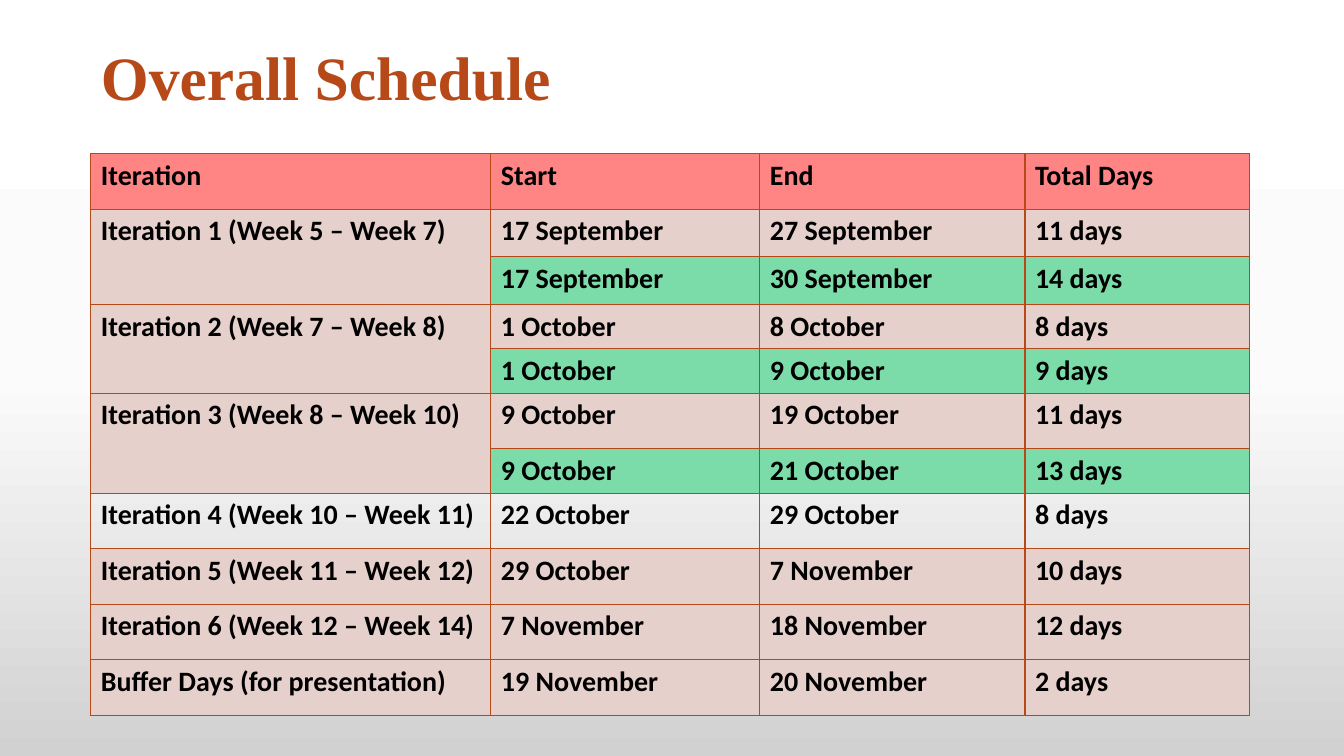
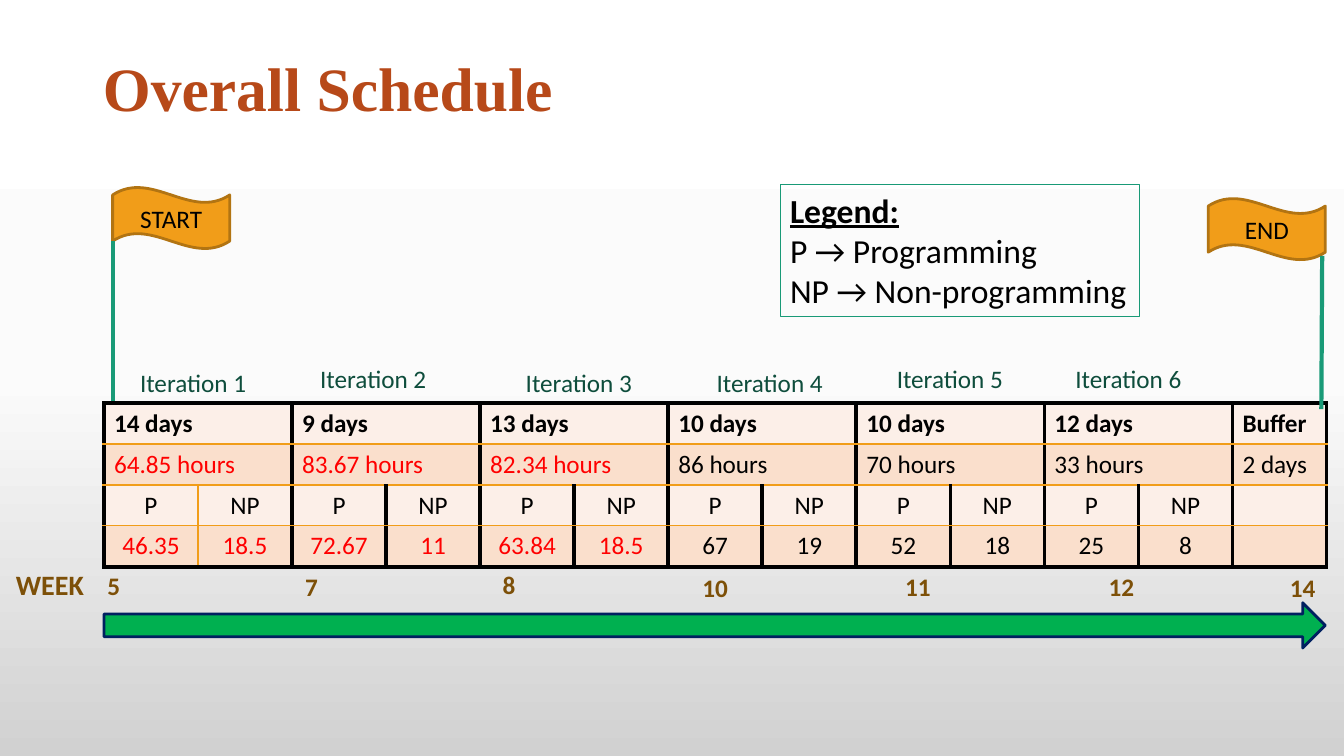
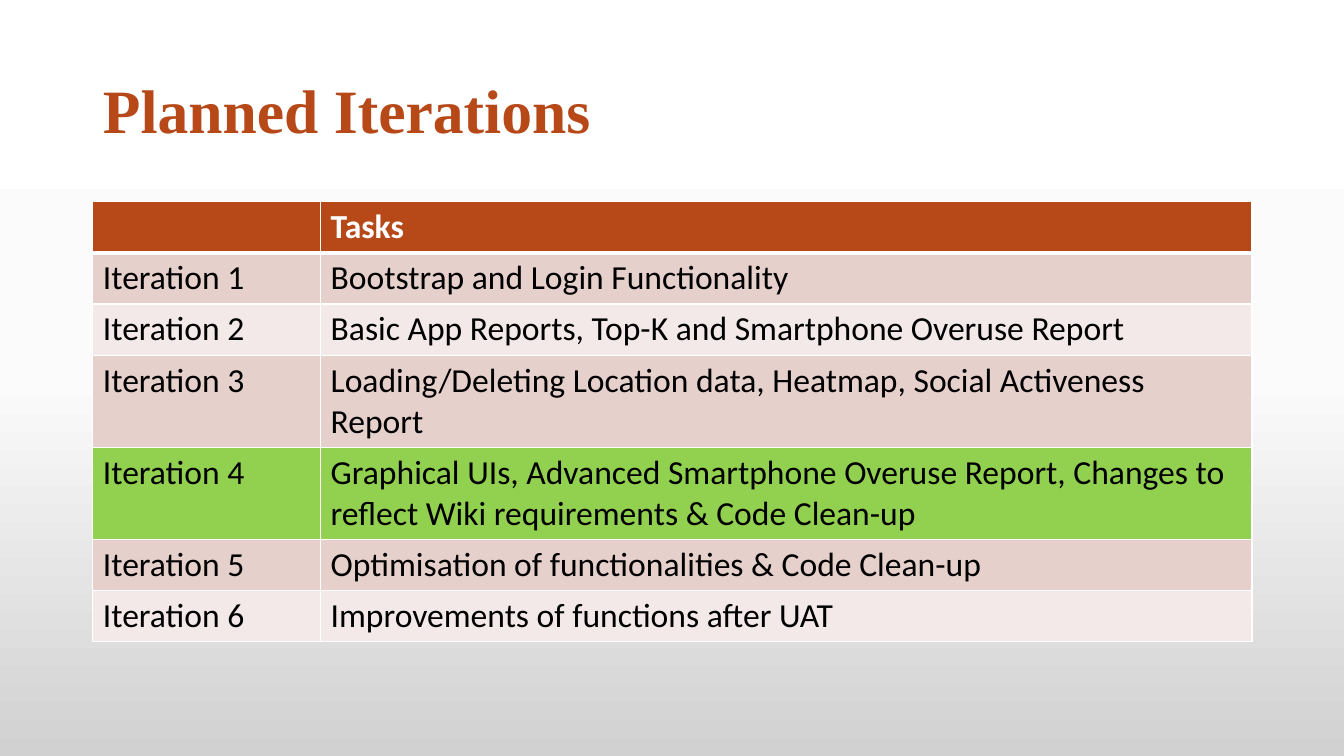
"""Builds a three-slide project schedule deck."""
from copy import deepcopy

from lxml import etree
from pptx import Presentation
from pptx.dml.color import RGBColor
from pptx.enum.shapes import MSO_CONNECTOR, MSO_SHAPE
from pptx.enum.text import MSO_ANCHOR, MSO_AUTO_SIZE, PP_ALIGN
from pptx.oxml.ns import qn
from pptx.util import Cm, Pt

STRAIGHT = MSO_CONNECTOR.STRAIGHT
WAVE, RIGHT_ARROW = MSO_SHAPE.WAVE, MSO_SHAPE.RIGHT_ARROW
MIDDLE = MSO_ANCHOR.MIDDLE
GROW = MSO_AUTO_SIZE.SHAPE_TO_FIT_TEXT
LEFT, CENTER = PP_ALIGN.LEFT, PP_ALIGN.CENTER

BLACK = RGBColor(0x00, 0x00, 0x00)
WHITE = RGBColor(0xFF, 0xFF, 0xFF)
NEAR_WHITE = RGBColor(0xFB, 0xFB, 0xFB)
SILVER = RGBColor(0xD1, 0xD1, 0xD1)
RUST = RGBColor(0xB7, 0x49, 0x19)
CORAL = RGBColor(0xFF, 0x85, 0x85)
ROSE = RGBColor(0xE6, 0xD0, 0xCC)
PALE_ROSE = RGBColor(0xF3, 0xE9, 0xE8)
MINT = RGBColor(0x7B, 0xDB, 0xA9)
LIME = RGBColor(0x92, 0xD0, 0x50)
CREAM = RGBColor(0xFC, 0xEF, 0xE8)
PEACH = RGBColor(0xFA, 0xDF, 0xCC)
ORANGE = RGBColor(0xF1, 0x9D, 0x19)
OCHRE = RGBColor(0xB2, 0x74, 0x12)
BROWN = RGBColor(0x7D, 0x50, 0x08)
RED = RGBColor(0xFF, 0x00, 0x00)
GREEN = RGBColor(0x00, 0xB0, 0x50)
NAVY = RGBColor(0x00, 0x20, 0x60)
TEAL = RGBColor(0x19, 0x9A, 0x77)
DARK_TEAL = RGBColor(0x0E, 0x4D, 0x3C)

THICK, THIN = (BLACK, 3), (ORANGE, 1)


class Deck:
    """Holds the shared style and the current slide."""

    body_font = "Calibri"
    title_font = "Times New Roman"

    def __init__(self):
        """Sets the slide size and the shared background."""
        self.prs = Presentation()
        self.prs.slide_width, self.prs.slide_height = Cm(33.87), Cm(19.05)
        master = self.prs.slide_master
        fill = master.background.fill
        fill.gradient()
        fill.gradient_angle = 270
        stops = master.element.find(".//" + qn("a:gsLst"))
        stops.insert(1, deepcopy(stops[0]))
        shades = ((0, WHITE), (0.5, NEAR_WHITE), (1, SILVER))
        for stop, (position, color) in zip(fill.gradient_stops, shades):
            stop.position = position
            stop.color.rgb = color

    def add_slide(self, title, left, top):
        """Starts a slide with its title."""
        self.slide = self.prs.slides.add_slide(self.prs.slide_layouts[5])
        holder = self.slide.shapes.title
        holder.left, holder.top = Cm(left), Cm(top)
        holder.width, holder.height = Cm(29.2), Cm(3.68)
        frame = holder.text_frame
        frame.vertical_anchor = MIDDLE
        paragraph = frame.paragraphs[0]
        paragraph.line_spacing = 0.9
        run = self.styled_run(paragraph, title, 44, RUST, True, LEFT)
        run.font.name = self.title_font
        run.font._element.insert(0, self.outline("a:ln", WHITE, 0.75))

    def outline(self, tag, color, width):
        """Returns a solid line element."""
        line = etree.Element(qn(tag), w=str(Pt(width)))
        solid = etree.SubElement(line, qn("a:solidFill"))
        etree.SubElement(solid, qn("a:srgbClr"), val=str(color))
        return line

    def styled_run(self, paragraph, text, size, color=BLACK, bold=False, align=LEFT):
        """Adds one formatted run."""
        paragraph.alignment = align
        run = paragraph.add_run()
        run.text = text
        run.font.name, run.font.size = self.body_font, Pt(size)
        run.font.bold = bold
        run.font.color.rgb = color
        return run

    def text_box(self, left, top, width, height):
        """Adds a wrapping text box."""
        box = self.slide.shapes.add_textbox(Cm(left), Cm(top), Cm(width), Cm(height))
        box.text_frame.word_wrap = True
        box.text_frame.auto_size = GROW
        return box

    def label(self, left, top, width, height, text, size, color, bold=False):
        """Adds a one-line text box."""
        box = self.text_box(left, top, width, height)
        self.styled_run(box.text_frame.paragraphs[0], text, size, color, bold)

    def shape(self, kind, left, top, width, height, fill, edge):
        """Adds a filled preset shape."""
        shape = self.slide.shapes.add_shape(
            kind, Cm(left), Cm(top), Cm(width), Cm(height))
        shape.shadow.inherit = False
        shape.fill.solid()
        shape.fill.fore_color.rgb = fill
        shape.line.color.rgb, shape.line.width = edge, Pt(2)
        return shape

    def flag(self, left, top, text, pole):
        """Adds a waving flag and its pole."""
        flag = self.shape(WAVE, left, top, 2.95, 1.55, ORANGE, OCHRE)
        flag.text_frame.vertical_anchor = MIDDLE
        self.styled_run(flag.text_frame.paragraphs[0], text, 18, align=CENTER)
        line = self.slide.shapes.add_connector(STRAIGHT, *map(Cm, pole))
        line.line.color.rgb, line.line.width = TEAL, Pt(3)
        etree.SubElement(line._element.spPr, qn("a:effectLst"))

    def table(self, left, top, widths, heights):
        """Adds an unstyled table."""
        table = self.slide.shapes.add_table(
            len(heights), len(widths), Cm(left), Cm(top),
            Cm(sum(widths)), Cm(sum(heights))).table
        table.first_row = table.horz_banding = False
        for column, width in zip(table.columns, widths):
            column.width = Cm(width)
        for row, height in zip(table.rows, heights):
            row.height = Cm(height)
        return table

    def cell(self, cell, fill, borders, text="", *look):
        """Formats a cell; borders run left, right, top, bottom."""
        properties = cell._tc.get_or_add_tcPr()
        for side, border in zip("LRTB", borders):
            properties.append(self.outline("a:ln" + side, *border))
        if fill is None:
            cell.fill.background()
        else:
            cell.fill.solid()
            cell.fill.fore_color.rgb = fill
        if text:
            self.styled_run(cell.text_frame.paragraphs[0], text, *look)


def dates_slide(deck):
    """Lists planned and actual dates per iteration."""
    schedule = (
        (CORAL, 1.4, "Iteration", "Start", "End", "Total Days"),
        (ROSE, 1.2, "Iteration 1 (Week 5 – Week 7)", "17 September", "27 September", "11 days"),
        (MINT, 1.2, "", "17 September", "30 September", "14 days"),
        (ROSE, 1.12, "Iteration 2 (Week 7 – Week 8)", "1 October", "8 October", "8 days"),
        (MINT, 1.12, "", "1 October", "9 October", "9 days"),
        (ROSE, 1.4, "Iteration 3 (Week 8 – Week 10)", "9 October", "19 October", "11 days"),
        (MINT, 1.12, "", "9 October", "21 October", "13 days"),
        (None, 1.4, "Iteration 4 (Week 10 – Week 11)", "22 October", "29 October", "8 days"),
        (ROSE, 1.4, "Iteration 5 (Week 11 – Week 12)", "29 October", "7 November", "10 days"),
        (ROSE, 1.4, "Iteration 6 (Week 12 – Week 14)", "7 November", "18 November", "12 days"),
        (ROSE, 1.4, "Buffer Days (for presentation)", "19 November", "20 November", "2 days"),
    )
    deck.add_slide("Overall Schedule", 2.29, 0.2)
    table = deck.table(2.29, 3.87, (10.08, 6.78, 6.68, 5.66),
                       [height for _, height, *_ in schedule])
    for r, (fill, _, *texts) in enumerate(schedule):
        for c, text in enumerate(texts):
            shade = fill if text else ROSE
            deck.cell(table.cell(r, c), shade, [(RUST, 1)] * 4, text, 20, BLACK, True)
        if not texts[0]:
            table.cell(r - 1, 0).merge(table.cell(r, 0))


def timeline_slide(deck):
    """Shows hours per iteration along a week arrow."""
    iterations = (
        ("14 days", "64.85 hours", "46.35", "18.5", RED),
        ("9 days", "83.67 hours", "72.67", "11", RED),
        ("13 days", "82.34 hours", "63.84", "18.5", RED),
        ("10 days", "86 hours", "67", "19", BLACK),
        ("10 days", "70 hours", "52", "18", BLACK),
        ("12 days", "33 hours", "25", "8", BLACK),
    )
    last_row, buffer_column = 3, 2 * len(iterations)
    row_fills = (CREAM, PEACH, CREAM, PEACH)
    deck.add_slide("Overall Schedule", 2.34, 0.46)
    table = deck.table(2.62, 10.16, [2.37] * (buffer_column + 1), [1.03] * 4)

    def fill_cell(r, c, *content):
        split = r > 1
        borders = (THIN if split and c == 1 else THICK,
                   THIN if split and c == 0 else THICK,
                   THICK if r == 0 else THIN,
                   THICK if r == last_row else THIN)
        deck.cell(table.cell(r, c), row_fills[r], borders, *content)

    for i, (days, hours, coding, other, color) in enumerate(iterations):
        c = 2 * i
        fill_cell(0, c, days, 18, BLACK, True)
        fill_cell(1, c, hours, 18, color)
        for r in (0, 1):
            fill_cell(r, c + 1)
            table.cell(r, c).merge(table.cell(r, c + 1))
        for side, (kind, amount) in enumerate((("P", coding), ("NP", other))):
            fill_cell(2, c + side, kind, 18, BLACK, False, CENTER)
            fill_cell(3, c + side, amount, 18, color, False, CENTER)
    fill_cell(0, buffer_column, "Buffer", 18, BLACK, True)
    fill_cell(1, buffer_column, "2 days", 18)
    fill_cell(2, buffer_column)
    fill_cell(3, buffer_column)

    deck.shape(RIGHT_ARROW, 2.62, 15.19, 30.78, 1.14, GREEN, NAVY)
    deck.flag(2.84, 4.72, "START", (2.84, 6.07, 2.84, 10.11))
    deck.flag(30.45, 5, "END", (33.32, 6.45, 33.3, 10.31))

    spots = ((3.28, 9.12), (7.82, 9.02), (13, 9.12),
             (17.81, 9.12), (22.35, 9.02), (26.85, 9.02))
    for number, (left, top) in enumerate(spots, 1):
        deck.label(left, top, 3.81, 1.03, f"Iteration {number}", 18, DARK_TEAL)

    deck.label(0.15, 14.17, 2.46, 1.12, "WEEK", 20, BROWN, True)
    weeks = (("5", 2.46, 14.25, 1.09), ("7", 7.44, 14.27, 1.09),
             ("8", 12.42, 14.22, 1.09), ("10", 17.45, 14.3, 1.18),
             ("11", 22.56, 14.27, 1.32), ("12", 27.69, 14.27, 1.32),
             ("14", 32.26, 14.3, 1.32))
    for week, left, top, width in weeks:
        deck.label(left, top, width, 1.03, week, 18, BROWN, True)

    legend = deck.text_box(19.66, 4.65, 9.07, 3.33)
    legend.line.color.rgb, legend.line.width = TEAL, Pt(0.75)
    frame = legend.text_frame
    heading = deck.styled_run(frame.paragraphs[0], "Legend:", 24, bold=True)
    heading.font.underline = True
    for entry in ("P → Programming", "NP → Non-programming"):
        deck.styled_run(frame.add_paragraph(), entry, 24)


def tasks_slide(deck):
    """Lists the tasks of each iteration."""
    tasks = (
        (ROSE, 1.29, "Bootstrap and Login Functionality"),
        (PALE_ROSE, 1.29, "Basic App Reports, Top-K and Smartphone Overuse Report"),
        (ROSE, 2.32, "Loading/Deleting Location data, Heatmap, Social Activeness Report"),
        (LIME, 2.32, "Graphical UIs, Advanced Smartphone Overuse Report, "
                     "Changes to reflect Wiki requirements & Code Clean-up"),
        (ROSE, 1.29, "Optimisation of functionalities & Code Clean-up"),
        (PALE_ROSE, 1.29, "Improvements of functions after UAT"),
    )
    thin, thick = (WHITE, 1), (WHITE, 3)
    deck.add_slide("Planned Iterations", 2.34, 1.02)
    table = deck.table(2.34, 5.08, (5.74, 23.47),
                       [1.29] + [height for _, height, _ in tasks])
    for c, heading in enumerate(("", "Tasks")):
        deck.cell(table.cell(0, c), RUST, (thin, thin, thin, thick),
                  heading, 24, WHITE, True)
    for r, (fill, _, task) in enumerate(tasks, 1):
        top = thick if r == 1 else thin
        for c, text in enumerate((f"Iteration {r}", task)):
            deck.cell(table.cell(r, c), fill, (thin, thin, top, thin), text, 24)


deck = Deck()
dates_slide(deck)
timeline_slide(deck)
tasks_slide(deck)
deck.prs.save("out.pptx")
